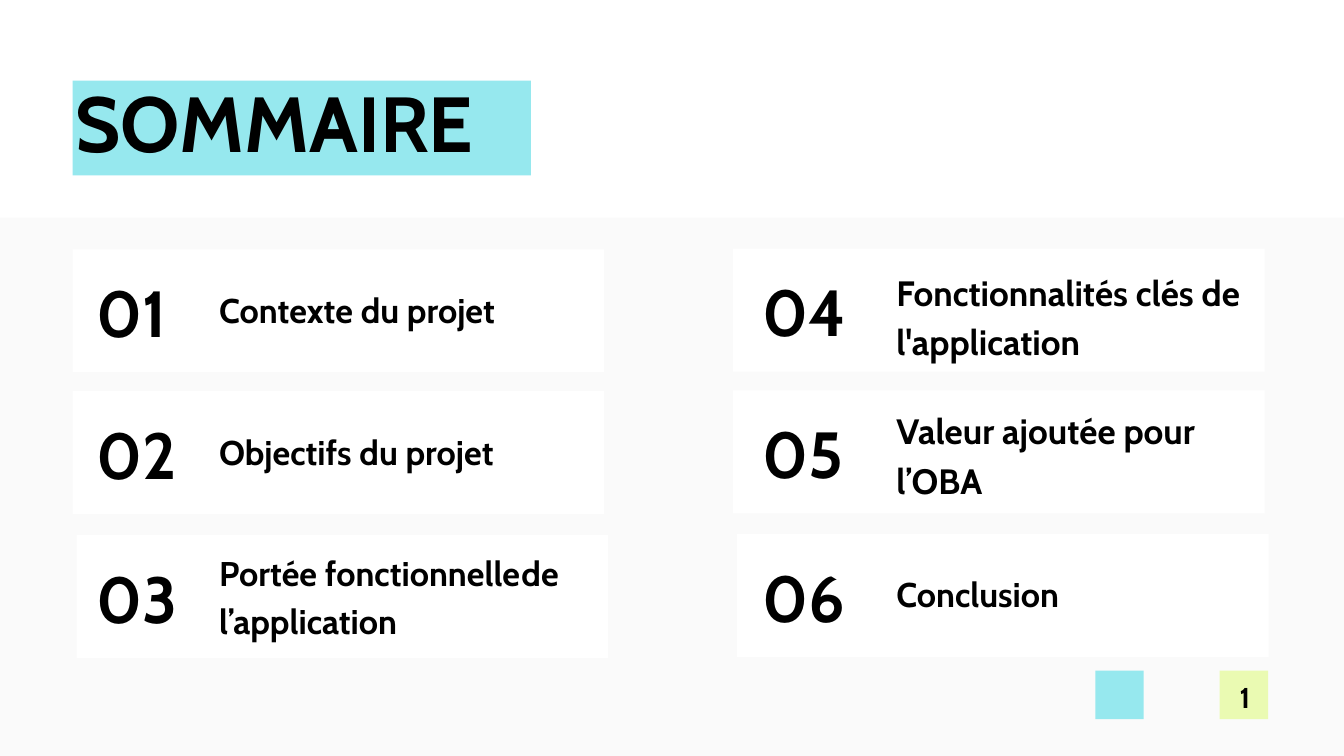
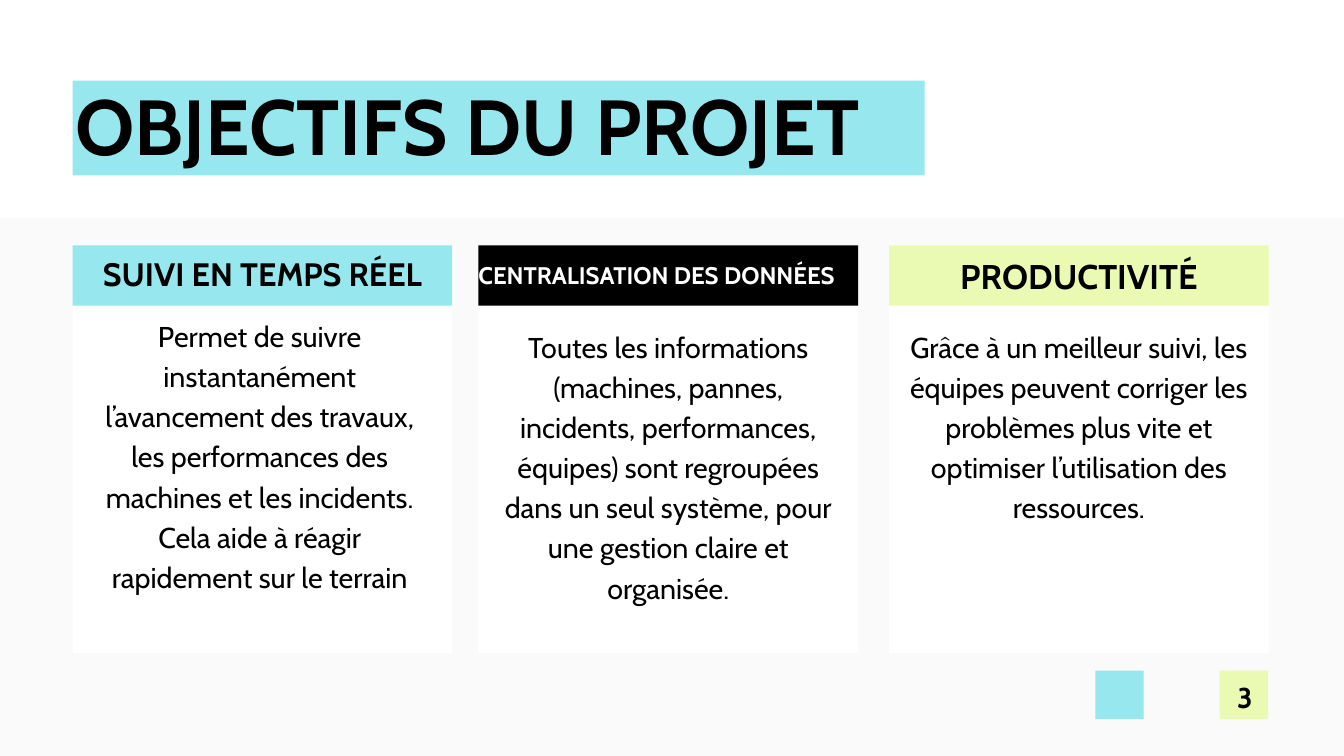
import dataclasses

import pptx
import pptx.dml.color
import pptx.enum.shapes
import pptx.enum.text
import pptx.util

Inches = pptx.util.Inches
ALIGN = pptx.enum.text.PP_ALIGN


@dataclasses.dataclass(frozen=True)
class Theme:
    """Colours, font and type sizes shared by the slides."""
    font: str = "Cabin"
    black: str = "000000"
    white: str = "FFFFFF"
    grey: str = "FAFAFA"
    cyan: str = "96E8EE"
    lime: str = "EAFAB2"
    title: float = 83.6
    number: float = 69.8
    item: float = 36.7
    item_large: float = 37.7
    head: float = 34.7
    head_small: float = 25.7
    body: float = 30.7
    leading: float = 1.4
    title_leading: float = 1.08


THEME = Theme()

AGENDA = [
    [("Contexte du projet", THEME.item, 0.5, 4.94),
     ("Objectifs du projet", THEME.item, 0.49, 4.94),
     ("Portée fonctionnelle\tde l’application", THEME.item, 0.15, 5.99)],
    [("Fonctionnalités clés de l'application", THEME.item_large, 0.23, 5.18),
     ("Valeur ajoutée pour l’OBA", THEME.item_large, 0.18, 4.94),
     ("Conclusion", THEME.item, 0.48, 4.94)],
]
AGENDA_COLUMNS = [(1.08, 3.71, 0.36, 2.18), (10.91, 3.7, 0.44, 2.43)]
AGENDA_ROWS = [(0, 0), (0, 2.11), (0.06, 4.25)]

GOALS = [
    dict(left=1.08, head="SUIVI EN TEMPS RÉEL", fill=THEME.cyan, size=THEME.head,
         body="Permet de suivre instantanément l’avancement des travaux, les "
              "performances des machines et les incidents. Cela aide à réagir "
              "rapidement sur le terrain", inset=(0.26, 1.01)),
    dict(left=7.12, head="CENTRALISATION DES DONNÉES", fill=THEME.black,
         size=THEME.head_small, color=THEME.white, align=ALIGN.LEFT,
         head_top=0.15, head_width=6.63,
         body="Toutes les informations (machines, pannes, incidents, "
              "performances, équipes) sont regroupées dans un seul système, "
              "pour une gestion claire et organisée."),
    dict(left=13.23, head="PRODUCTIVITÉ", fill=THEME.lime, size=THEME.item,
         body="Grâce à un meilleur suivi, les équipes peuvent corriger les "
              "problèmes plus vite et optimiser l’utilisation des ressources."),
]


def rgb(value):
    """Return a colour object for a hex string."""
    return pptx.dml.color.RGBColor.from_string(value)


def write_text(sp, text, size, color=THEME.black, bold=True,
               align=ALIGN.LEFT, leading=THEME.leading):
    """Write one formatted paragraph into a shape without insets."""
    tf = sp.text_frame
    tf.word_wrap = True
    tf.auto_size = pptx.enum.text.MSO_AUTO_SIZE.NONE
    tf.vertical_anchor = pptx.enum.text.MSO_ANCHOR.TOP
    tf.margin_left = tf.margin_right = tf.margin_top = tf.margin_bottom = 0
    p = tf.paragraphs[0]
    p.alignment = align
    p.line_spacing = pptx.util.Pt(round(size * leading, 1))
    r = p.add_run()
    r.text = text
    r.font.name = THEME.font
    r.font.size = pptx.util.Pt(size)
    r.font.bold = bold
    r.font.color.rgb = rgb(color)


def add_text(slide, box, text, **fmt):
    """Add a text box at the given box in inches."""
    write_text(slide.shapes.add_textbox(*map(Inches, box)), text, **fmt)


def add_block(slide, box, fill):
    """Add a flat rectangle at the given box in inches."""
    sp = slide.shapes.add_shape(
        pptx.enum.shapes.MSO_SHAPE.RECTANGLE, *map(Inches, box))
    sp.shadow.inherit = False
    sp.fill.solid()
    sp.fill.fore_color.rgb = rgb(fill)
    sp.line.fill.background()


def add_title(slide, box, text, text_top, text_width):
    """Place the title placeholder over its highlight band."""
    left, top, _, _ = box
    add_block(slide, box, THEME.cyan)
    sp = slide.shapes.title
    sp.left, sp.top, sp.width, sp.height = map(
        Inches, (left + 0.04, top + text_top, text_width, 1.3))
    write_text(sp, text, size=THEME.title, leading=THEME.title_leading)
    sp.element.getparent().append(sp.element)


def add_footer(slide, left, top, number):
    """Draw the two footer squares and the page number."""
    side = 0.72
    add_block(slide, (left, top, side, side), THEME.cyan)
    add_block(slide, (left + 1.85, top, side, side), THEME.lime)
    add_text(slide, (left + 1.87, top + 0.05, 0.71, 0.57), str(number),
             size=THEME.body, align=ALIGN.CENTER)


def add_base(prs, title, band_width, text_top, text_width, number):
    """Create a slide with the shared title, backdrop and footer."""
    slide = prs.slides.add_slide(prs.slide_layouts.get_by_name("Title Only"))
    add_block(slide, (0, 3.24, 20, 8.01), THEME.grey)
    add_title(slide, (1.08, 1.2, band_width, 1.41), title, text_top, text_width)
    add_footer(slide, 16.3, 9.98, number)
    return slide


def add_agenda_card(slide, left, top, number, item, number_x, text_x, shift):
    """Draw one numbered agenda card."""
    text, size, text_y, width = item
    add_block(slide, (left + shift, top, 7.91, 1.83), THEME.white)
    add_text(slide, (left + number_x, top + 0.15, 1.48, 1.31),
             f"{number:02d}", size=THEME.number)
    add_text(slide, (left + text_x, top + text_y, width, 1.4), text, size=size)


def add_goal_card(slide, left, top, head, fill, size, body, color=THEME.black,
                  align=ALIGN.CENTER, head_top=0.04, head_width=5.65,
                  inset=(0.3, 1.17)):
    """Draw one goal card with its coloured heading and description."""
    dx, dy = inset
    add_block(slide, (left, top + 0.79, 5.65, 5.28), THEME.white)
    add_block(slide, (left, top, 5.65, 0.9), fill)
    add_text(slide, (left, top + head_top, head_width, 0.66), head,
             size=size, color=color, align=align)
    add_text(slide, (left + dx, top + dy, 5.05, 4.73), body,
             size=THEME.body, bold=False, align=ALIGN.CENTER)


def build_agenda(prs):
    """Build the agenda slide."""
    slide = add_base(prs, "SOMMAIRE", 6.82, 0.04, 9.88, 1)
    number = 0
    for (left, top, number_x, text_x), items in zip(AGENDA_COLUMNS, AGENDA):
        for (shift, dy), item in zip(AGENDA_ROWS, items):
            number += 1
            add_agenda_card(slide, left, top + dy, number, item,
                            number_x, text_x, shift)


def build_goals(prs):
    """Build the project goals slide."""
    slide = add_base(prs, "OBJECTIFS DU PROJET", 12.68, 0.09, 12.81, 3)
    for goal in GOALS:
        add_goal_card(slide, top=3.65, **goal)


def main():
    """Build and save the presentation."""
    prs = pptx.Presentation()
    prs.slide_width, prs.slide_height = Inches(20), Inches(11.25)
    build_agenda(prs)
    build_goals(prs)
    prs.save("out.pptx")


if __name__ == "__main__":
    main()
